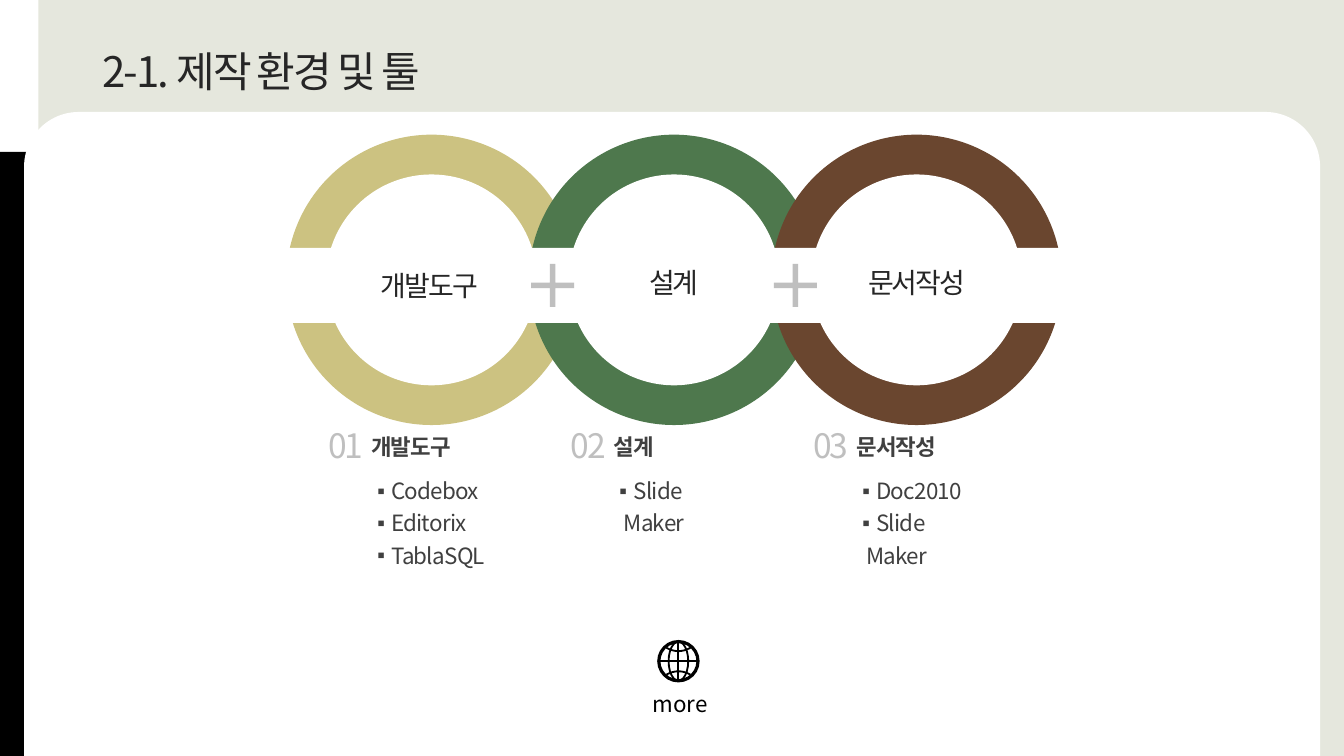
from dataclasses import dataclass

from lxml.etree import SubElement
from pptx import Presentation
from pptx.dml.color import RGBColor
from pptx.enum.shapes import MSO_CONNECTOR as Connector, MSO_SHAPE as Shape
from pptx.enum.text import MSO_ANCHOR as Anchor, PP_ALIGN as Align
from pptx.oxml.ns import qn
from pptx.util import Pt


@dataclass(frozen=True)
class Theme:
    """Colours, font and type sizes of the slide."""
    font: str = "Noto Sans CJK KR"
    sage: str = "E5E7DD"
    black: str = "000000"
    white: str = "FFFFFF"
    ink: str = "262626"
    body: str = "404040"
    pale: str = "BFBFBF"
    sand: str = "CCC281"
    green: str = "4E784D"
    brown: str = "6A462F"
    title_size: int = 30
    number_size: int = 24
    label_size: int = 20
    body_size: int = 16


class SlideBuilder:
    """Draws styled elements on one slide, measured in points."""

    def __init__(self, slide, theme):
        """Keep the slide and its theme."""
        self.slide, self.theme = slide, theme

    def paint(self, item, fill=None, line=None, weight=1):
        """Give a shape its fill and outline without a shadow."""
        item.shadow.inherit = False
        if fill:
            item.fill.solid()
            item.fill.fore_color.rgb = RGBColor.from_string(fill)
        else:
            item.fill.background()
        if line:
            item.line.color.rgb = RGBColor.from_string(line)
            item.line.width = Pt(weight)
        else:
            item.line.fill.background()

    def shape(self, kind, left, top, width, height, adjust=(), **paint):
        """Add a preset shape."""
        item = self.slide.shapes.add_shape(kind, Pt(left), Pt(top), Pt(width), Pt(height))
        for index, value in enumerate(adjust):
            item.adjustments[index] = value
        self.paint(item, **paint)

    def disc(self, x, y, half_width, half_height, **paint):
        """Add an ellipse around a centre."""
        self.shape(Shape.OVAL, x - half_width, y - half_height,
                   2 * half_width, 2 * half_height, **paint)

    def line(self, x1, y1, x2, y2, color, weight):
        """Add a straight line."""
        item = self.slide.shapes.add_connector(
            Connector.STRAIGHT, Pt(x1), Pt(y1), Pt(x2), Pt(y2))
        item.line.color.rgb = RGBColor.from_string(color)
        item.line.width = Pt(weight)
        SubElement(item._element.spPr, qn("a:effectLst"))

    def curve(self, points, color, weight):
        """Add an open outline through the points."""
        start, *rest = [(Pt(x), Pt(y)) for x, y in points]
        outline = self.slide.shapes.build_freeform(*start)
        outline.add_line_segments(rest, close=False)
        self.paint(outline.convert_to_shape(), line=color, weight=weight)

    def bullet(self, paragraph, color):
        """Give a paragraph a small square bullet and hanging indent."""
        properties = paragraph._p.get_or_add_pPr()
        properties.set("marL", str(Pt(7.2)))
        properties.set("indent", str(-Pt(7.2)))
        bullet_color = SubElement(properties, qn("a:buClr"))
        SubElement(bullet_color, qn("a:srgbClr"), val=color)
        SubElement(properties, qn("a:buSzPct"), val="90000")
        SubElement(properties, qn("a:buFont"), typeface=self.theme.font)
        SubElement(properties, qn("a:buChar"), char="▪")

    def text(self, text, left, top, width, height, size, color, bold=False,
             tracking=0, align=Align.LEFT, anchor=Anchor.TOP, inset=(0, 0),
             spacing=None, before=None, bullets=False, wrap=True):
        """Add a text box with one paragraph per line."""
        frame = self.slide.shapes.add_textbox(
            Pt(left), Pt(top), Pt(width), Pt(height)).text_frame
        frame.word_wrap, frame.vertical_anchor = wrap, anchor
        frame.margin_left = frame.margin_right = Pt(inset[0])
        frame.margin_top = frame.margin_bottom = Pt(inset[1])
        frame.text = text
        for paragraph in frame.paragraphs:
            paragraph.alignment = align
            paragraph.line_spacing = spacing
            if before:
                paragraph.space_before = Pt(before)
            if bullets:
                self.bullet(paragraph, color)
            for run in paragraph.runs:
                font = run.font
                font.name, font.size, font.bold = self.theme.font, Pt(size), bold
                font.color.rgb = RGBColor.from_string(color)
                properties = run._r.get_or_add_rPr()
                properties.set("spc", str(round(tracking * 100)))
                SubElement(properties, qn("a:ea"), typeface=self.theme.font)

    def globe(self, x, y, radius, color):
        """Add a globe icon around a centre."""
        thin = 1.3
        self.disc(x, y, radius, radius, line=color, weight=2.3)
        self.disc(x, y, radius / 2, radius, line=color, weight=thin)
        self.line(x - radius, y, x + radius, y, color, thin)
        self.line(x, y - radius, x, y + radius, color, thin)
        for side in (-1, 1):
            steps = [step / 6 for step in range(-6, 7)]
            self.curve([(x + 8.6 * t, y + side * (7.2 + 2.4 * t * t)) for t in steps],
                       color, thin)


def build_slide(builder):
    """Lay out the development environment and tools slide."""
    theme = builder.theme
    builder.shape(Shape.RECTANGLE, 27.5, 0, 932.5, 540, fill=theme.sage)
    builder.shape(Shape.RECTANGLE, 0, 108.5, 41, 431.5, fill=theme.black)
    builder.shape(Shape.ROUND_2_SAME_RECTANGLE, 17.2, 80, 925.8, 460,
                  adjust=(0.085, 0), fill=theme.white)
    builder.text("2-1. 제작 환경 및 툴", 73.4, 32.4, 265, 36, theme.title_size,
                 theme.ink, tracking=-1.5)

    tools = [
        ("개발도구", theme.sand, "Codebox\nEditorix\nTablaSQL", 261.4, 188),
        ("설계", theme.green, "Slide Maker", 436, 185.8),
        ("문서작성", theme.brown, "Doc2010\nSlide Maker", 609.3, 185.8),
    ]
    step, ring_radius, hole_radius = 173.25, 103.7, 75.3
    centers = [308.2 + step * index for index in range(len(tools))]

    for number, (center, (name, _, products, _, _)) in enumerate(zip(centers, tools), 1):
        builder.text(f"{number:02}", center - 73.6, 303.8, 26.6, 29, theme.number_size,
                     theme.pale, tracking=-1.5, wrap=False)
        builder.text(products, center - 43.1, 337, 92, 23.2 * (products.count("\n") + 1),
                     theme.body_size, theme.body, tracking=-0.5, spacing=1.2, bullets=True)
        builder.text(name, center - 43.1, 305.3, 116.6, 21, theme.body_size, theme.body,
                     bold=True, tracking=-0.5, spacing=1.2, before=3)

    for center, (_, color, _, _, _) in zip(centers, tools):
        builder.disc(center, 199.9, ring_radius, ring_radius, fill=color)
        builder.disc(center, 199.9, hole_radius, hole_radius, fill=theme.white)
    builder.shape(Shape.RECTANGLE, 192.2, 177.1, 570.2, 53.5, fill=theme.white)

    for name, _, _, label_left, label_top in tools:
        builder.text(name, label_left, label_top, 90.7, 31.7, theme.label_size, theme.ink,
                     tracking=-1.5, align=Align.CENTER, anchor=Anchor.MIDDLE,
                     inset=(7.2, 3.6))
    for center in centers[:-1]:
        builder.shape(Shape.MATH_PLUS, center + step / 2 - 20.9, 183, 41.8, 41.8,
                      adjust=(0.093,), fill=theme.pale)

    builder.globe(484.6, 472.3, 14, theme.black)
    builder.text("more", 415.4, 489.6, 141, 26.6, theme.body_size, theme.black,
                 align=Align.CENTER, inset=(7.2, 3.6))


def main():
    """Create and save the presentation."""
    presentation = Presentation()
    presentation.slide_width, presentation.slide_height = Pt(960), Pt(540)
    slide = presentation.slides.add_slide(presentation.slide_layouts[6])
    build_slide(SlideBuilder(slide, Theme()))
    presentation.save("out.pptx")


if __name__ == "__main__":
    main()
